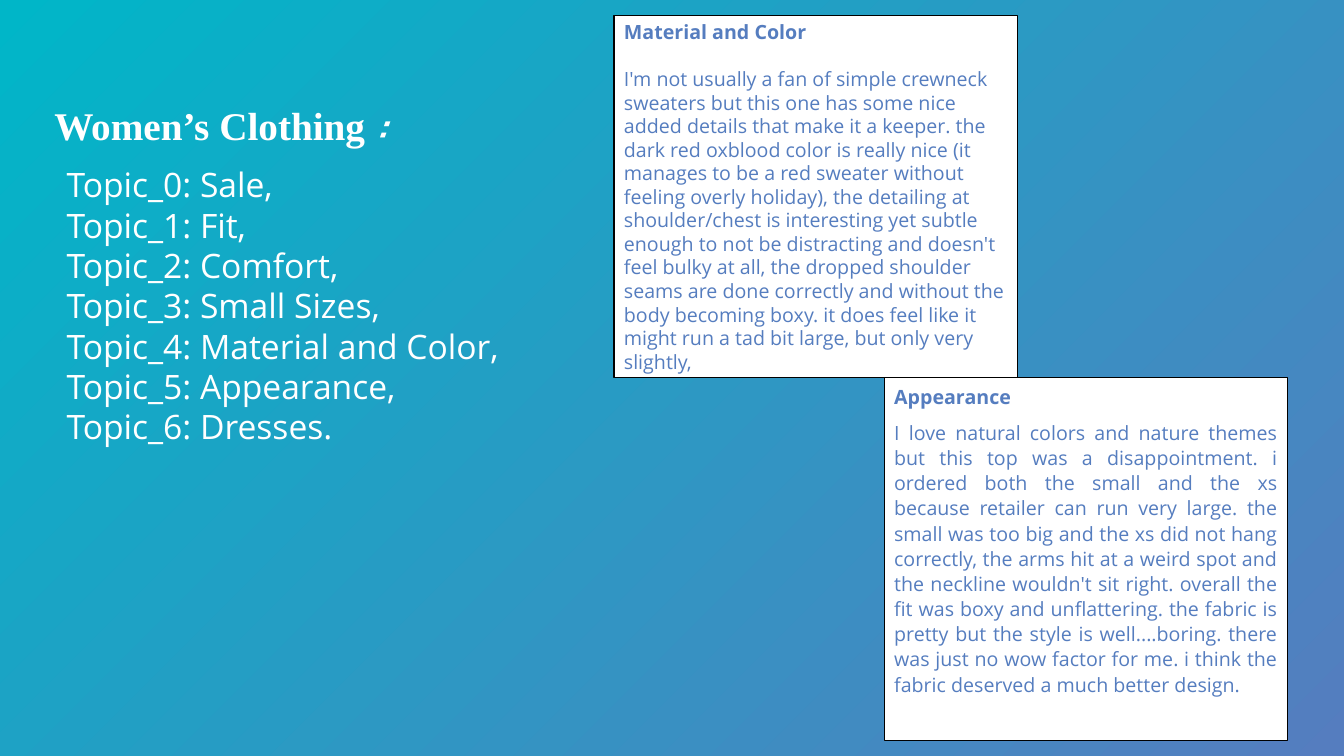
"""Build the slide on clothing review topics."""
from lxml.etree import SubElement
from pptx import Presentation
from pptx.dml.color import RGBColor
from pptx.enum.shapes import MSO_SHAPE
from pptx.enum.text import MSO_ANCHOR, MSO_AUTO_SIZE, PP_ALIGN
from pptx.oxml.ns import qn
from pptx.util import Inches, Pt

TEAL = RGBColor(0x00, 0xB6, 0xC8)
BLUE = RGBColor(0x55, 0x7D, 0xBF)
WHITE = RGBColor(0xFF, 0xFF, 0xFF)
BLACK = RGBColor(0x00, 0x00, 0x00)
SANS = "Open Sans"

TOPICS = ["Sale", "Fit", "Comfort", "Small Sizes", "Material and Color",
          "Appearance", "Dresses"]
SWEATER = (
    "I'm not usually a fan of simple crewneck sweaters but this one has some "
    "nice added details that make it a keeper. the dark red oxblood color is "
    "really nice (it manages to be a red sweater without feeling overly "
    "holiday), the detailing at shoulder/chest is interesting yet subtle "
    "enough to not be distracting and doesn't feel bulky at all, the dropped "
    "shoulder seams are done correctly and without the body becoming boxy. it "
    "does feel like it might run a tad bit large, but only very slightly,")
TOP = (
    "I love natural colors and nature themes but this top was a "
    "disappointment. i ordered both the small and the xs because retailer can "
    "run very large. the small was too big and the xs did not hang correctly, "
    "the arms hit at a weird spot and the neckline wouldn't sit right. overall "
    "the fit was boxy and unflattering. the fabric is pretty but the style is "
    "well....boring. there was just no wow factor for me. i think the fabric "
    "deserved a much better design.")


def place(shape, left, top, width, height):
    shape.left, shape.top = Inches(left), Inches(top)
    shape.width, shape.height = Inches(width), Inches(height)


def style(para, size, color, bold=False, name=None):
    font = para.font
    font.size, font.bold = Pt(size), bold
    font.color.rgb = color
    if name:
        font.name = name


def paint(slide):
    fill = slide.background.fill
    fill.gradient()
    fill.gradient_angle = 315
    for stop, color in zip(fill.gradient_stops, (TEAL, BLUE)):
        stop.color.rgb = color


def add_title(slide):
    title = slide.shapes.title
    place(title, 0.4, 0.96, 3.55, 0.61)
    frame = title.text_frame
    frame.auto_size = MSO_AUTO_SIZE.NONE
    frame.vertical_anchor = MSO_ANCHOR.MIDDLE
    para = frame.paragraphs[0]
    para.alignment, para.line_spacing = PP_ALIGN.RIGHT, 0.9
    style(para, 28, WHITE, True)
    for text, name in (("Women’s Clothing ", "Times New Roman"),
                       (":", "Manrope")):
        run = para.add_run()
        run.text, run.font.name = text, name
    run.font.italic = True


def add_topics(slide):
    body = slide.placeholders[1]
    place(body, 0.56, 1.58, 4.69, 2.93)
    frame = body.text_frame
    frame.auto_size = MSO_AUTO_SIZE.SHAPE_TO_FIT_TEXT
    last = len(TOPICS) - 1
    frame.text = "\n".join(
        f"Topic_{i}: {topic}{'.' if i == last else ','}"
        for i, topic in enumerate(TOPICS))
    for para in frame.paragraphs:
        props = para._p.get_or_add_pPr()
        props.set("marL", "0")
        props.set("indent", "0")
        SubElement(props, qn("a:buNone"))
        para.space_before = Pt(0)
        style(para, 24, WHITE, name=SANS)


def add_review(slide, left, top, head, text, align, lines, gap):
    card = slide.shapes.add_shape(
        MSO_SHAPE.RECTANGLE, Inches(left), Inches(top), Inches(4), Inches(3.6))
    card.shadow.inherit = False
    card.fill.solid()
    card.fill.fore_color.rgb = WHITE
    card.line.color.rgb = BLACK
    card.line.width = Pt(0.75)
    frame = card.text_frame
    frame.word_wrap = True
    frame.vertical_anchor = MSO_ANCHOR.TOP
    frame.text = f"{head}\n{text}"
    for para, bold in zip(frame.paragraphs, (True, False)):
        para.alignment, para.line_spacing = align, lines
        style(para, 14, BLUE, bold, SANS)
    frame.paragraphs[0].space_after = Pt(gap)


def main():
    deck = Presentation()
    deck.slide_width, deck.slide_height = Inches(13.33), Inches(7.5)
    slide = deck.slides.add_slide(deck.slide_layouts[1])
    paint(slide)
    add_title(slide)
    add_topics(slide)
    add_review(slide, 6.09, 0.15, "Material and Color", SWEATER,
               PP_ALIGN.LEFT, 1, 16.8)
    add_review(slide, 8.77, 3.75, "Appearance", TOP,
               PP_ALIGN.JUSTIFY, 1.07, 8)
    deck.save("out.pptx")


if __name__ == "__main__":
    main()
